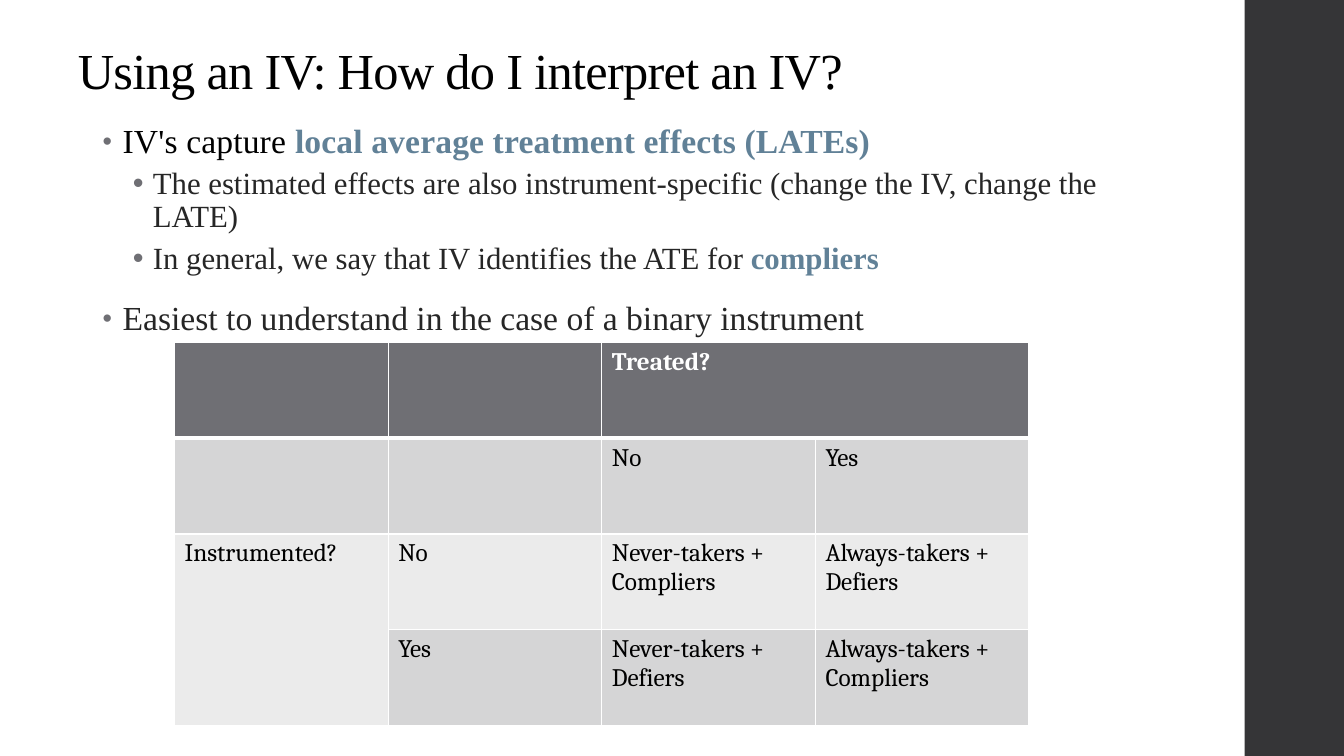
from lxml import etree
from pptx import Presentation
from pptx.dml.color import RGBColor
from pptx.enum.shapes import MSO_SHAPE
from pptx.enum.text import MSO_ANCHOR
from pptx.oxml.ns import qn
from pptx.util import Pt

RECT = MSO_SHAPE.RECTANGLE
BOTTOM = MSO_ANCHOR.BOTTOM
SERIF = "Times New Roman"
TABLE_FONT = "Cambria"
COLORS = {
    "black": "000000", "white": "FFFFFF", "text": "262626",
    "accent": "618197", "sidebar": "353537", "header": "6F6F74",
    "dark_row": "D5D5D6", "light_row": "EBEBEB",
}


def add_run(p, text, size, color, bold=False, font=SERIF, spacing=0):
    r = p.add_run()
    r.text = text
    r.font.name = font
    r.font.size = Pt(size)
    r.font.bold = bold
    r.font.color.rgb = RGBColor.from_string(COLORS[color])
    if spacing:
        r.font._element.set("spc", str(spacing))


def add_xml(parent, tag, **attrs):
    return etree.SubElement(parent, qn(tag), attrs)


prs = Presentation()
prs.slide_width, prs.slide_height = Pt(960), Pt(540)
s = prs.slides.add_slide(prs.slide_layouts[6])

# Sidebar
sp = s.shapes.add_shape(RECT, Pt(889), Pt(0), Pt(71), Pt(540))
sp.shadow.inherit = False
sp.fill.solid()
sp.fill.fore_color.rgb = RGBColor.from_string(COLORS["sidebar"])
sp.line.fill.background()

# Title
tf = s.shapes.add_textbox(Pt(48.5), Pt(26.6), Pt(822), Pt(49)).text_frame
tf.word_wrap = True
tf.vertical_anchor = BOTTOM
p = tf.paragraphs[0]
p.line_spacing = 0.9
add_run(p, "Using an IV: How do I interpret an IV?", 36, "black", spacing=-50)

# Bullets: level, then runs of text, colour, bold and spacing
bullets = [
    (0, [("IV's capture ", "black", False, 10),
         ("local average treatment effects (LATEs)", "accent", True, 10)]),
    (1, [("The estimated effects are also instrument-specific "
          "(change the IV, change the LATE)", "text", False, 0)]),
    (1, [("In general, we say that IV identifies the ATE for ", "text", False, 0),
         ("compliers", "accent", True, 0)]),
    (0, [("Easiest to understand in the case of a binary instrument",
          "text", False, 0)]),
]
# Level: left margin, size, line spacing, space before, space after, bullet size
levels = [(14.4, 24, 0.95, 14, 2, 80), (36, 22, 0.9, 3, 3, 100)]
tf = s.shapes.add_textbox(Pt(66.2), Pt(84.2), Pt(786), Pt(405)).text_frame
tf.word_wrap = True
for i, (level, runs) in enumerate(bullets):
    margin, size, line, before, after, bullet_size = levels[level]
    p = tf.add_paragraph() if i else tf.paragraphs[0]
    p.level = level
    p.line_spacing = line
    p.space_before, p.space_after = Pt(before), Pt(after)
    for text, color, bold, spacing in runs:
        add_run(p, text, size, color, bold, spacing=spacing)
    pPr = p._p.get_or_add_pPr()
    pPr.set("marL", str(Pt(margin)))
    pPr.set("indent", str(Pt(-14.4)))
    add_xml(add_xml(pPr, "a:buClr"), "a:srgbClr", val=COLORS["header"])
    add_xml(pPr, "a:buSzPct", val=str(bullet_size * 1000))
    add_xml(pPr, "a:buFont", typeface="Arial")
    add_xml(pPr, "a:buChar", char="•")

# Table of complier types
rows = [
    ("header", ["", "", "Treated?", ""]),
    ("dark_row", ["", "", "No", "Yes"]),
    ("light_row", ["Instrumented?", "No", "Never-takers + Compliers",
                   "Always-takers + Defiers"]),
    ("dark_row", ["", "Yes", "Never-takers + Defiers",
                  "Always-takers + Compliers"]),
]
table = s.shapes.add_table(4, 4, Pt(124.7), Pt(244.8), Pt(610.4), Pt(273.2)).table
for col in table.columns:
    col.width = Pt(152.6)
for row in table.rows:
    row.height = Pt(68.3)
for i, (fill, texts) in enumerate(rows):
    for j, text in enumerate(texts):
        cell = table.cell(i, j)
        tcPr = cell._tc.get_or_add_tcPr()
        # The line under the header is thicker
        thick = {0: "a:lnB", 1: "a:lnT"}.get(i)
        for side in ("a:lnL", "a:lnR", "a:lnT", "a:lnB"):
            ln = add_xml(tcPr, side, w=str(Pt(3 if side == thick else 1)))
            add_xml(add_xml(ln, "a:solidFill"), "a:srgbClr", val=COLORS["white"])
        cell.fill.solid()
        cell.fill.fore_color.rgb = RGBColor.from_string(COLORS[fill])
        if text:
            add_run(cell.text_frame.paragraphs[0], text, 18,
                    "black" if i else "white", i == 0, TABLE_FONT)
table.cell(0, 2).merge(table.cell(0, 3))
table.cell(2, 0).merge(table.cell(3, 0))

prs.save("out.pptx")
